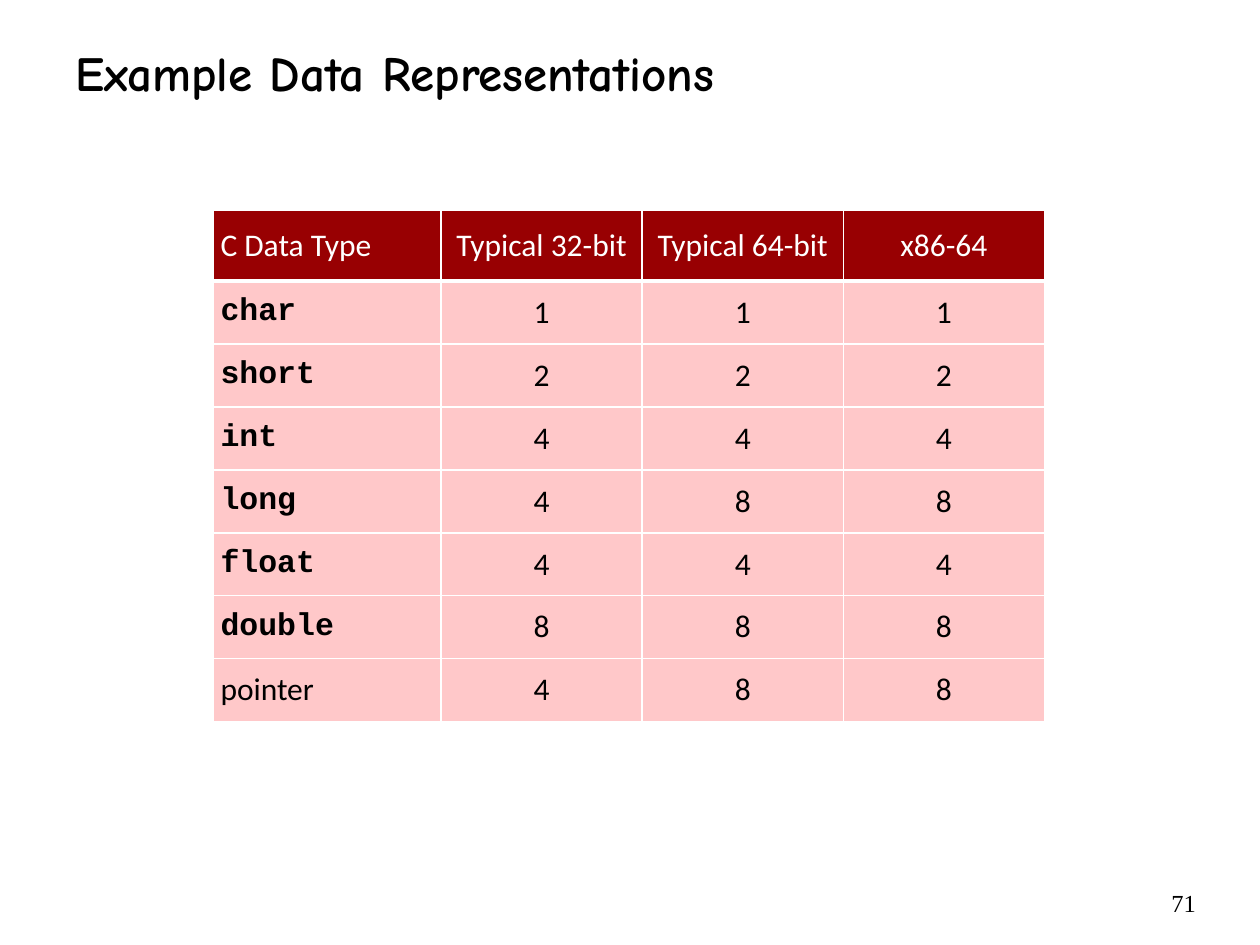
import pptx
import pptx.dml.color
import pptx.enum.text
import pptx.oxml
import pptx.oxml.ns
import pptx.util
from pptx.dml.color import RGBColor
from pptx.util import Inches

BLACK = RGBColor(0x00, 0x00, 0x00)
WHITE = RGBColor(0xFF, 0xFF, 0xFF)
DARK_RED = RGBColor(0x98, 0x00, 0x02)
PINK = RGBColor(0xFF, 0xC8, 0xC9)

ALIGN = pptx.enum.text.PP_ALIGN
MIDDLE = pptx.enum.text.MSO_ANCHOR.MIDDLE
TOP = pptx.enum.text.MSO_ANCHOR.TOP

DATA_TYPE_SIZES = [
    ("C Data Type", "Typical 32-bit", "Typical 64-bit", "x86-64"),
    ("char", 1, 1, 1),
    ("short", 2, 2, 2),
    ("int", 4, 4, 4),
    ("long", 4, 8, 8),
    ("float", 4, 4, 4),
    ("double", 8, 8, 8),
    ("pointer", 4, 8, 8),
]
C_KEYWORDS = {"char", "short", "int", "long", "float", "double"}


def style_paragraph(paragraph, text, font_name, size, color, bold=False, align=ALIGN.LEFT):
    paragraph.text = text
    paragraph.alignment = align
    font = paragraph.font
    font.name = font_name
    font.size = pptx.util.Pt(size)
    font.bold = bold
    font.color.rgb = color


def add_text(slide, box, anchor, *style, **options):
    shape = slide.shapes.add_textbox(*box)
    frame = shape.text_frame
    frame.word_wrap = True
    frame.vertical_anchor = anchor
    style_paragraph(frame.paragraphs[0], *style, **options)


def set_borders(cell, widths):
    """Draw white cell borders; widths maps each side to points."""
    properties = cell._tc.get_or_add_tcPr()
    for side, width in widths.items():
        properties.append(pptx.oxml.parse_xml(
            f'<a:ln{side} {pptx.oxml.ns.nsdecls("a")} w="{pptx.util.Pt(width)}">'
            f'<a:solidFill><a:srgbClr val="{WHITE}"/></a:solidFill></a:ln{side}>'))


def add_title(slide, box):
    add_text(slide, box, MIDDLE, "Example Data Representations", "Comic Neue", 28, BLACK, bold=True)


def add_size_table(slide, box):
    left, top, width, height = box
    row_count, column_count = len(DATA_TYPE_SIZES), len(DATA_TYPE_SIZES[0])
    table = slide.shapes.add_table(row_count, column_count, left, top, width, height).table

    # Wider first column and taller header; the rest share the space equally
    first_width, header_height = Inches(1.81), Inches(0.56)
    for index, column in enumerate(table.columns):
        column.width = first_width if index == 0 else (width - first_width) // (column_count - 1)
    for index, row in enumerate(table.rows):
        row.height = header_height if index == 0 else (height - header_height) // (row_count - 1)

    for row_index, values in enumerate(DATA_TYPE_SIZES):
        is_header = row_index == 0
        for column_index, value in enumerate(values):
            cell = table.cell(row_index, column_index)
            cell.vertical_anchor = MIDDLE
            cell.margin_left = cell.margin_right = Inches(0.06)
            cell.margin_top = cell.margin_bottom = Inches(0.06)

            # A thick rule separates the header from the body
            set_borders(cell, {"L": 1, "R": 1,
                               "T": 3 if row_index == 1 else 1,
                               "B": 3 if is_header else 1})
            cell.fill.solid()
            cell.fill.fore_color.rgb = DARK_RED if is_header else PINK

            is_keyword = value in C_KEYWORDS
            style_paragraph(
                cell.text_frame.paragraphs[0], str(value),
                "Courier New" if is_keyword else "Calibri", 18,
                WHITE if is_header else BLACK, bold=is_keyword,
                align=ALIGN.LEFT if column_index == 0 else ALIGN.CENTER)


def add_page_number(slide, box):
    add_text(slide, box, TOP, "71", "Times New Roman", 14, BLACK, align=ALIGN.RIGHT)


def main():
    presentation = pptx.Presentation()
    presentation.slide_width = Inches(10)
    presentation.slide_height = Inches(7.5)
    slide = presentation.slides.add_slide(presentation.slide_layouts[6])

    add_title(slide, (Inches(0.5), Inches(0.22), Inches(9.08), Inches(0.7)))
    add_size_table(slide, (Inches(1.69), Inches(1.67), Inches(6.6), Inches(4.06)))
    add_page_number(slide, (Inches(8.17), Inches(7), Inches(1.42), Inches(0.28)))

    presentation.save("out.pptx")


if __name__ == "__main__":
    main()
